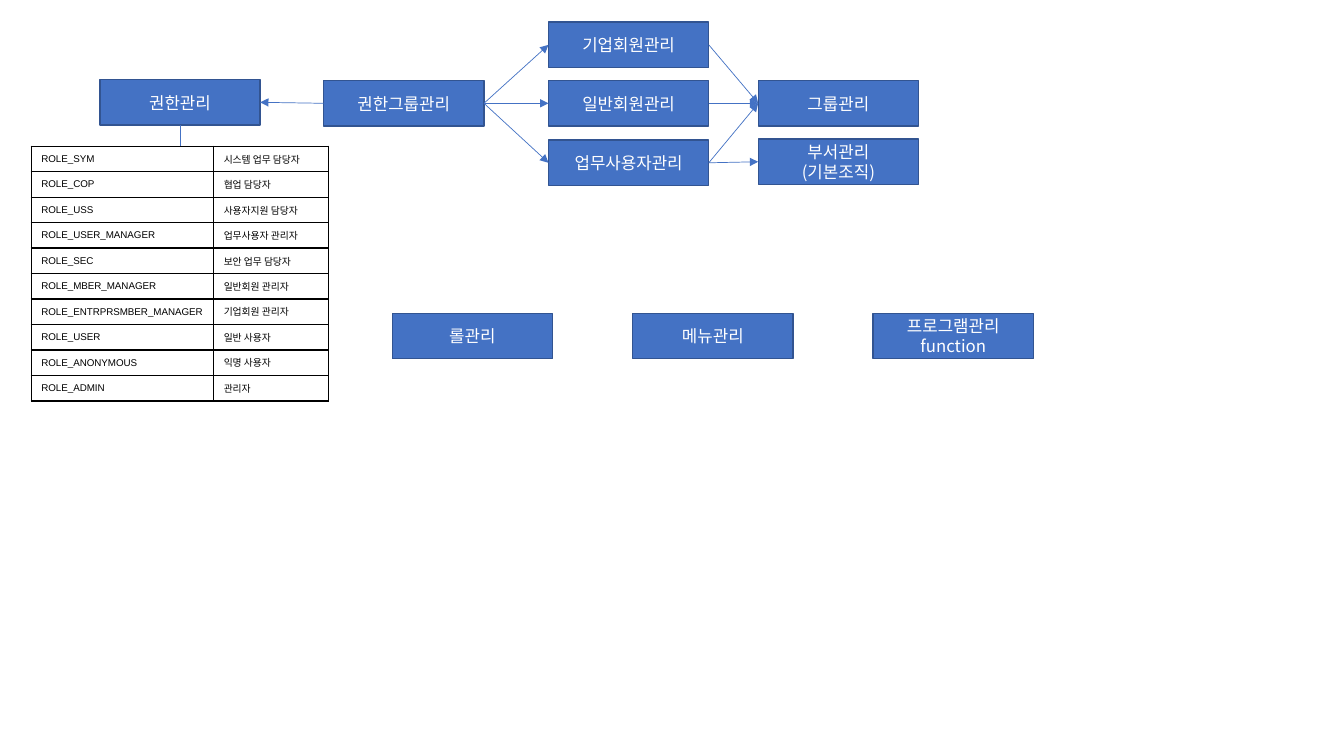
from dataclasses import dataclass

from pptx import Presentation
from pptx.dml.color import RGBColor
from pptx.enum.shapes import MSO_CONNECTOR, MSO_SHAPE
from pptx.enum.text import MSO_ANCHOR, PP_ALIGN
from pptx.oxml.ns import qn
from pptx.util import Inches, Pt
from lxml import etree

RECTANGLE = MSO_SHAPE.RECTANGLE
STRAIGHT = MSO_CONNECTOR.STRAIGHT
MIDDLE = MSO_ANCHOR.MIDDLE
LEFT, CENTER = PP_ALIGN.LEFT, PP_ALIGN.CENTER
BLANK_LAYOUT = 6
LEFT_SIDE, BOTTOM_SIDE, RIGHT_SIDE = 1, 2, 3  # connection sites of a rectangle


@dataclass(frozen=True)
class Theme:
    """Colours, fonts and sizes of the slide."""
    box_fill: RGBColor = RGBColor(0x44, 0x72, 0xC4)
    box_line: RGBColor = RGBColor(0x32, 0x54, 0x91)
    box_text: RGBColor = RGBColor(0xFF, 0xFF, 0xFF)
    table_ink: RGBColor = RGBColor(0, 0, 0)
    korean_font: str = "Noto Sans CJK KR"
    table_font: str = "Arial"
    box_size: Pt = Pt(12)
    table_size: Pt = Pt(7)
    border: Pt = Pt(1)
    arrow: Pt = Pt(0.5)


THEME = Theme()
BOX_WIDTH, BOX_HEIGHT = 1.59, 0.45
MEMBER_LEFT, GROUP_LEFT = 5.44, 7.52
FUNCTION_LEFT, FUNCTION_TOP, FUNCTION_STEP = 3.89, 3.11, 2.385
TABLE_LEFT, TABLE_TOP, ROW_HEIGHT = 0.31, 1.45, 0.253
COLUMN_WIDTHS = (1.81, 1.14)

FUNCTIONS = ("롤관리", "메뉴관리", "프로그램관리\nfunction")
ROLES = (
    ("ROLE_SYM", "시스템 업무 담당자"),
    ("ROLE_COP", "협업 담당자"),
    ("ROLE_USS", "사용자지원 담당자"),
    ("ROLE_USER_MANAGER", "업무사용자 관리자"),
    ("ROLE_SEC", "보안 업무 담당자"),
    ("ROLE_MBER_MANAGER", "일반회원 관리자"),
    ("ROLE_ENTRPRSMBER_MANAGER", "기업회원 관리자"),
    ("ROLE_USER", "일반 사용자"),
    ("ROLE_ANONYMOUS", "익명 사용자"),
    ("ROLE_ADMIN", "관리자"),
)


def write_text(frame, text, font_name, size, color, align):
    """Fill a text frame and format every run in it."""
    frame.text = text
    for paragraph in frame.paragraphs:
        paragraph.alignment = align
        for run in paragraph.runs:
            run.font.name = font_name
            run.font.size = size
            run.font.color.rgb = color
            east_asian = etree.SubElement(run.font._element, qn("a:ea"))
            east_asian.set("typeface", THEME.korean_font)


def add_box(slide, text, left, top):
    """Add one blue management box and return it."""
    box = slide.shapes.add_shape(RECTANGLE, Inches(left), Inches(top),
                                 Inches(BOX_WIDTH), Inches(BOX_HEIGHT))
    box.shadow.inherit = False
    box.fill.solid()
    box.fill.fore_color.rgb = THEME.box_fill
    box.line.color.rgb = THEME.box_line
    box.line.width = THEME.border
    box.text_frame.word_wrap = True
    box.text_frame.vertical_anchor = MIDDLE
    write_text(box.text_frame, text, THEME.korean_font, THEME.box_size,
               THEME.box_text, CENTER)
    return box


def add_line(slide, left, top):
    """Add a thin line starting at a point, with its end still to be attached."""
    line = slide.shapes.add_connector(STRAIGHT, left, top, left, top)
    line.line.color.rgb = THEME.box_fill
    line.line.width = THEME.arrow
    etree.SubElement(line._element.spPr, qn("a:effectLst"))
    return line


def add_arrow(slide, source, target, source_side=RIGHT_SIDE, target_side=LEFT_SIDE):
    """Join two boxes with an arrow that points at the target."""
    arrow = add_line(slide, source.left, source.top)
    arrow.begin_connect(source, source_side)
    arrow.end_connect(target, target_side)
    etree.SubElement(arrow.line._get_or_add_ln(), qn("a:tailEnd"), type="triangle")


def add_borders(cell):
    """Draw a solid line on all four sides of a cell."""
    properties = cell._tc.get_or_add_tcPr()
    for side in ("a:lnL", "a:lnR", "a:lnT", "a:lnB"):
        border = etree.SubElement(properties, qn(side), w=str(THEME.border))
        fill = etree.SubElement(border, qn("a:solidFill"))
        etree.SubElement(fill, qn("a:srgbClr"), val=str(THEME.table_ink))


def add_role_table(slide):
    """Add the table of role names and their descriptions."""
    frame = slide.shapes.add_table(
        len(ROLES), len(COLUMN_WIDTHS), Inches(TABLE_LEFT), Inches(TABLE_TOP),
        Inches(sum(COLUMN_WIDTHS)), Inches(ROW_HEIGHT * len(ROLES)))
    table = frame.table
    table.first_row = table.horz_banding = False
    for column, width in zip(table.columns, COLUMN_WIDTHS):
        column.width = Inches(width)
    for row, role in zip(table.rows, ROLES):
        row.height = Inches(ROW_HEIGHT)
        for cell, text in zip(row.cells, role):
            cell.margin_left = Inches(0.1)
            cell.margin_right = Inches(0.05)
            cell.margin_top = cell.margin_bottom = Inches(0.02)
            cell.vertical_anchor = MIDDLE
            write_text(cell.text_frame, text, THEME.table_font, THEME.table_size,
                       THEME.table_ink, LEFT)
            add_borders(cell)
            cell.fill.background()


def main():
    """Build the authority management slide and save it."""
    deck = Presentation()
    deck.slide_width, deck.slide_height = Inches(13.33), Inches(7.5)
    slide = deck.slides.add_slide(deck.slide_layouts[BLANK_LAYOUT])

    authority = add_box(slide, "권한관리", 0.99, 0.79)
    authority_group = add_box(slide, "권한그룹관리", 3.21, 0.8)
    company = add_box(slide, "기업회원관리", MEMBER_LEFT, 0.22)
    general = add_box(slide, "일반회원관리", MEMBER_LEFT, 0.8)
    staff = add_box(slide, "업무사용자관리", MEMBER_LEFT, 1.39)
    group = add_box(slide, "그룹관리", GROUP_LEFT, 0.8)
    department = add_box(slide, "부서관리\n(기본조직)", GROUP_LEFT, 1.38)
    for index, name in enumerate(FUNCTIONS):
        add_box(slide, name, FUNCTION_LEFT + index * FUNCTION_STEP, FUNCTION_TOP)

    add_role_table(slide)
    table_link = add_line(slide, authority.left + authority.width // 2,
                          Inches(TABLE_TOP))
    table_link.end_connect(authority, BOTTOM_SIDE)

    add_arrow(slide, authority_group, authority, LEFT_SIDE, RIGHT_SIDE)
    for member in (company, general, staff):
        add_arrow(slide, authority_group, member)
        add_arrow(slide, member, group)
    add_arrow(slide, staff, department)

    deck.save("out.pptx")


main()
